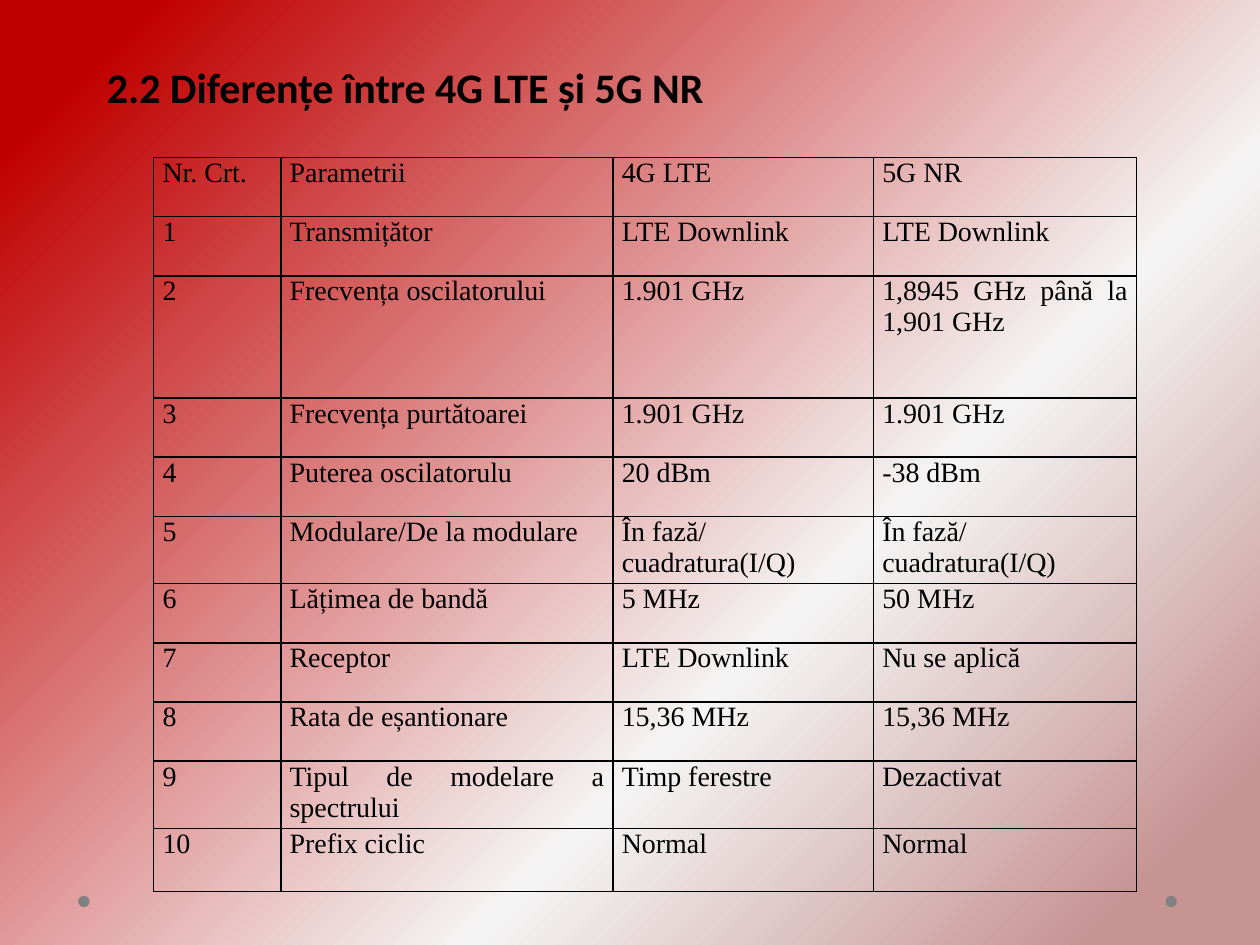
from copy import deepcopy

from pptx import Presentation
from pptx.dml.color import RGBColor
from pptx.enum.shapes import MSO_SHAPE as Shape
from pptx.enum.text import PP_ALIGN as Align
from pptx.oxml import parse_xml
from pptx.oxml.ns import nsdecls, qn
from pptx.util import Inches, Pt

BLACK = RGBColor(0x00, 0x00, 0x00)
GREY = RGBColor(0x80, 0x80, 0x80)
RED = RGBColor(0xC0, 0x00, 0x00)
WHITE = RGBColor(0xF4, 0xF4, 0xF4)
ROSE = RGBColor(0xC7, 0x94, 0x94)

WIDTH, HEIGHT = 10, 7.5
COLUMNS = [1.01, 2.64, 2.07, 2.09]
ROW, TALL_ROW, LAST_ROW = 0.47, 0.97, 0.5
PHASE = "În fază/ cuadratura(I/Q)"
PARAMETERS = [
    ("Transmițător", "LTE Downlink", "LTE Downlink"),
    ("Frecvența oscilatorului", "1.901 GHz", "1,8945 GHz până la 1,901 GHz"),
    ("Frecvența purtătoarei", "1.901 GHz", "1.901 GHz"),
    ("Puterea oscilatorulu", "20 dBm", "-38 dBm"),
    ("Modulare/De la modulare", PHASE, PHASE),
    ("Lățimea de bandă", "5 MHz", "50 MHz"),
    ("Receptor", "LTE Downlink", "Nu se aplică"),
    ("Rata de eșantionare", "15,36 MHz", "15,36 MHz"),
    ("Tipul de modelare a spectrului", "Timp ferestre", "Dezactivat"),
    ("Prefix ciclic", "Normal", "Normal"),
]


def paint_background(page):
    """Diagonal gradient from red through white to rose."""
    fill = page.background.fill
    fill.gradient()
    fill.gradient_angle = 315
    stops = page._element.find(".//" + qn("a:gsLst"))
    stops.append(deepcopy(stops[-1]))
    for stop, color, position in zip(fill.gradient_stops, (RED, WHITE, ROSE), (0.07, 0.64, 0.92)):
        stop.color.rgb = color
        stop.position = position


def add_dots(page, left, top, width, size):
    """One dot at each end of the given strip."""
    for x in (left, left + width - size):
        dot = page.shapes.add_shape(Shape.OVAL, Inches(x), Inches(top), Inches(size), Inches(size))
        dot.shadow.inherit = False
        dot.fill.solid()
        dot.fill.fore_color.rgb = GREY
        dot.line.fill.background()


def style_font(font, name, size, bold):
    font.name, font.size, font.bold = name, Pt(size), bold
    font.color.rgb = BLACK


def add_title(page, left, top, width, height):
    box = page.shapes.add_textbox(Inches(left), Inches(top), Inches(width), Inches(height))
    box.text_frame.word_wrap = True
    para = box.text_frame.paragraphs[0]
    para.text = "2.2 Diferențe între 4G LTE și 5G NR"
    style_font(para.font, "Calibri", 24, True)


def add_borders(cell):
    """Thin black lines, which go before the fill in the cell properties."""
    properties = cell._tc.get_or_add_tcPr()
    for index, side in enumerate(("lnL", "lnR", "lnT", "lnB")):
        properties.insert(index, parse_xml(
            f'<a:{side} {nsdecls("a")} w="{Pt(1)}"><a:solidFill>'
            f'<a:srgbClr val="{BLACK}"/></a:solidFill></a:{side}>'))


def fill_cell(cell, text):
    cell.margin_left = cell.margin_right = Inches(0.07)
    cell.margin_top = cell.margin_bottom = 0
    cell.fill.background()
    add_borders(cell)
    para = cell.text_frame.paragraphs[0]
    para.text = text
    para.alignment = Align.LEFT if text == PHASE else Align.JUSTIFY
    style_font(para.font, "Times New Roman", 16, False)


def add_comparison(page, left, top, width, height):
    rows = [("Nr. Crt.", "Parametrii", "4G LTE", "5G NR")]
    rows += [(str(number), *values) for number, values in enumerate(PARAMETERS, 1)]
    table = page.shapes.add_table(len(rows), len(COLUMNS), Inches(left), Inches(top),
                                  Inches(width), Inches(height)).table
    table.first_row = table.horz_banding = False
    for column, share in zip(table.columns, COLUMNS):
        column.width = Inches(width * share / sum(COLUMNS))
    special_heights = {2: TALL_ROW, len(rows) - 1: LAST_ROW}
    for r, values in enumerate(rows):
        table.rows[r].height = Inches(special_heights.get(r, ROW))
        for c, text in enumerate(values):
            fill_cell(table.cell(r, c), text)


def main():
    deck = Presentation()
    deck.slide_width, deck.slide_height = Inches(WIDTH), Inches(HEIGHT)
    page = deck.slides.add_slide(deck.slide_layouts[6])
    paint_background(page)
    add_dots(page, 0.62, 7.11, 8.72, 0.09)
    add_title(page, 0.75, 0.44, 8.58, 0.81)
    add_comparison(page, 1.22, 1.25, 7.8, 5.85)
    deck.save("out.pptx")


if __name__ == "__main__":
    main()
